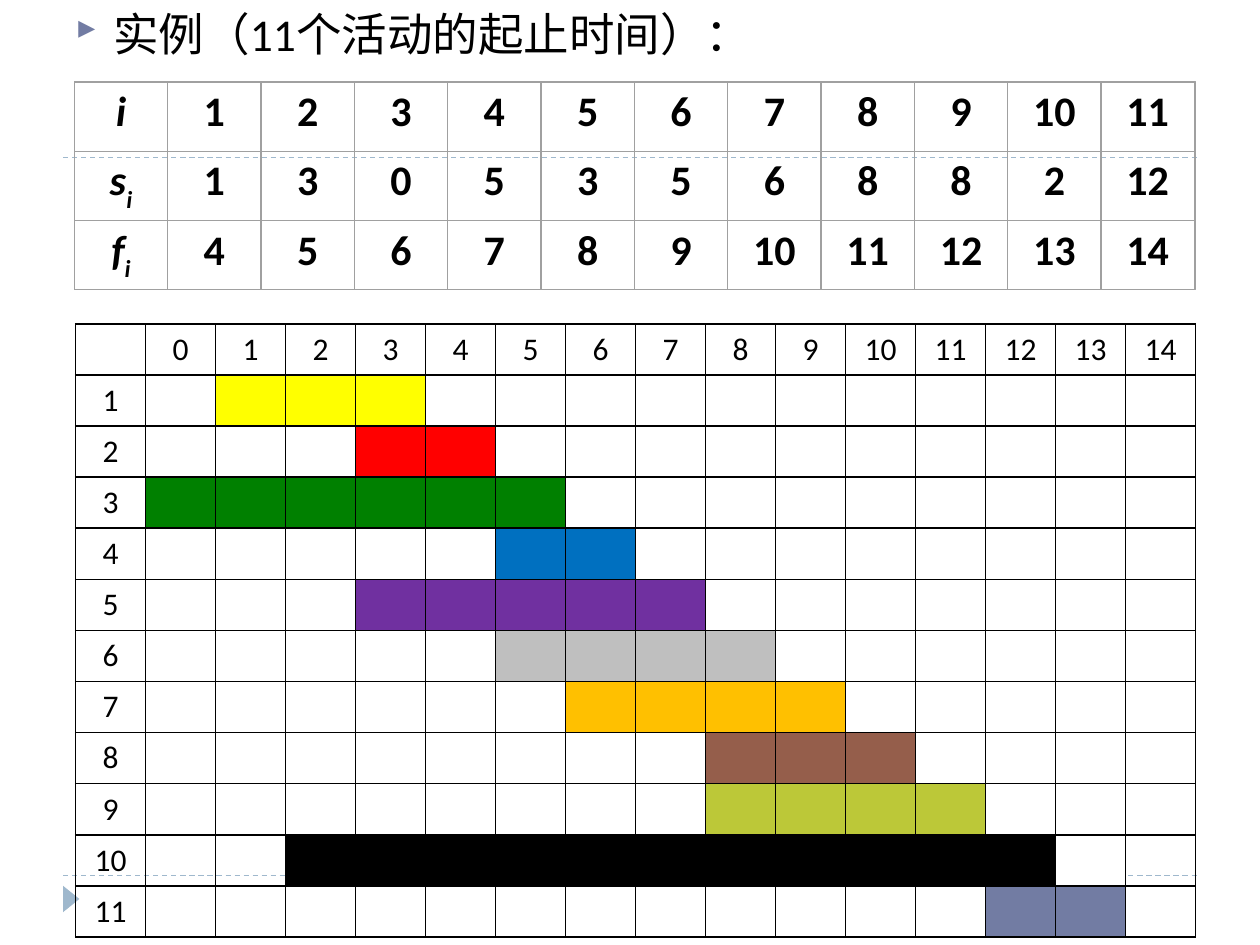
import dataclasses
import lxml.etree
import pptx
import pptx.dml.color
import pptx.enum.dml
import pptx.enum.lang
import pptx.enum.shapes
import pptx.enum.text
import pptx.oxml.ns
import pptx.util

COLS, ROWS = 200, 150  # slide grid
WIDE, HIGH = pptx.util.Inches(10), pptx.util.Inches(7.5)
PLAIN = "{2D5ABB26-0587-4C30-8999-92F81FD0307C}"  # table without style


@dataclasses.dataclass
class Theme:
    font: str = "Calibri"
    ink: str = "000000"
    white: str = "FFFFFF"
    accent: str = "727CA3"
    soft: str = "9FB8CD"
    rule: str = "A0A0A0"
    title: int = 26
    head: int = 24
    body: int = 18


THEME = Theme()

# start, finish, bar colour
TASKS = [
    (1, 4, "FFFF00"), (3, 5, "FF0000"), (0, 6, "008000"), (5, 7, "0070C0"),
    (3, 8, "7030A0"), (5, 9, "BFBFBF"), (6, 10, "FFC000"), (8, 11, "955E4B"),
    (8, 12, "BCC838"), (2, 13, "000000"), (12, 14, THEME.accent),
]


def place(x, y, w, h):
    """Turn grid columns and rows into slide lengths."""
    return (round(x * WIDE / COLS), round(y * HIGH / ROWS),
            round(w * WIDE / COLS), round(h * HIGH / ROWS))


def rgb(code):
    return pptx.dml.color.RGBColor.from_string(code)


def node(parent, tag, **attrs):
    item = lxml.etree.SubElement(parent, pptx.oxml.ns.qn(tag))
    for key, value in attrs.items():
        item.set(key, str(value))
    return item


def write(para, text, size, bold=False, slant=False, base=0):
    run = para.add_run()
    run.text = text
    font = run.font
    font.name, font.size = THEME.font, pptx.util.Pt(size)
    font.bold, font.italic = bold, slant
    font.color.rgb = rgb(THEME.ink)
    if base:
        font._element.set("baseline", str(base))
    return run


def edge(cell, color, width):
    props = cell._tc.get_or_add_tcPr()
    for spot, side in enumerate(("a:lnL", "a:lnR", "a:lnT", "a:lnB")):
        line = node(props, side, w=pptx.util.Pt(width))
        node(node(line, "a:solidFill"), "a:srgbClr", val=color)
        props.insert(spot, line)


def outline(shapes, box, width):
    """Unfilled ruled box."""
    frame = shapes.add_shape(
        pptx.enum.shapes.MSO_SHAPE.RECTANGLE, *place(*box))
    frame.shadow.inherit = False
    frame.fill.background()
    frame.line.color.rgb = rgb(THEME.rule)
    frame.line.width = pptx.util.Pt(width)


def tile(shapes, box, text, sub="", slant=False):
    """One ruled box with its label."""
    frame = shapes.add_textbox(*place(*box)).text_frame
    frame.word_wrap = True
    frame.vertical_anchor = pptx.enum.text.MSO_ANCHOR.TOP
    frame.margin_top, frame.margin_bottom = pptx.util.Inches(0.02), 0
    para = frame.paragraphs[0]
    para.alignment = pptx.enum.text.PP_ALIGN.CENTER
    write(para, text, THEME.head, True, slant)
    if sub:
        write(para, sub, THEME.head, True, slant, -30000)
    outline(shapes, box, 0)


def decor(slide, box):
    """Dashed rules and the corner marker."""
    x, y, w, h = box
    for top in (y + h, y):
        left, level, span, _ = place(x, top, w, 0)
        line = slide.shapes.add_connector(
            pptx.enum.shapes.MSO_CONNECTOR.STRAIGHT,
            left, level, left + span, level)
        line.line.color.rgb = rgb(THEME.soft)
        line.line.width = pptx.util.Pt(0.75)
        line.line.dash_style = pptx.enum.dml.MSO_LINE.DASH
        node(line._element.spPr, "a:effectLst")
    mark = slide.shapes.add_shape(
        pptx.enum.shapes.MSO_SHAPE.ISOSCELES_TRIANGLE,
        *place(x - 0.8, y + h + 2.4, 4.2, 2.6))
    mark.rotation = 90
    mark.shadow.inherit = False
    mark.fill.solid()
    mark.fill.fore_color.rgb = rgb(THEME.soft)
    mark.line.fill.background()


def title(slide, box, text):
    """Bulleted heading."""
    frame = slide.shapes.add_textbox(*place(*box)).text_frame
    frame.word_wrap = True
    para = frame.paragraphs[0]
    para.space_before = pptx.util.Pt(6)
    props = para._p.get_or_add_pPr()
    dent = pptx.util.Inches(0.3)
    props.set("marL", str(dent))
    props.set("indent", str(-dent))
    node(node(props, "a:buClr"), "a:srgbClr", val=THEME.accent)
    node(props, "a:buSzPct", val=76000)
    # In this symbol font the brace is a right-pointing triangle
    node(props, "a:buFont", typeface="Wingdings 3", charset=2)
    node(props, "a:buChar", char="}")
    run = write(para, text, THEME.title)
    run.font.language_id = pptx.enum.lang.MSO_LANGUAGE_ID.SIMPLIFIED_CHINESE


def times(slide, box):
    """Start and finish times of every task."""
    x, y, w, h = box
    wide, high = w / (len(TASKS) + 1), h / 3
    shapes = slide.shapes.add_group_shape().shapes
    heads = (("i", ""), ("s", "i"), ("f", "i"))
    lists = zip(*((num, start, end)
                  for num, (start, end, _) in enumerate(TASKS, 1)))
    for row, (head, values) in enumerate(zip(heads, lists)):
        top = y + row * high
        tile(shapes, (x, top, wide, high), *head, slant=True)
        for col, value in enumerate(values, 1):
            tile(shapes, (x + col * wide, top, wide, high), str(value))
    outline(shapes, (x, y, w + 0.2, h), 0.5)


def chart(slide, box):
    """Timeline with one bar of filled cells per task."""
    last = max(end for _, end, _ in TASKS)
    rows, cols = len(TASKS) + 1, last + 2
    x, y, w, h = place(*box)
    table = slide.shapes.add_table(rows, cols, x, y, w, h).table
    table.first_row = table.horz_banding = False
    table._tbl.tblPr.find(pptx.oxml.ns.qn("a:tableStyleId")).text = PLAIN
    for col in table.columns:
        col.width = round(w / cols)
    for row in table.rows:
        row.height = round(h / rows)
    for cell in table.iter_cells():
        cell.fill.background()
        cell.vertical_anchor = pptx.enum.text.MSO_ANCHOR.MIDDLE
        para = cell.text_frame.paragraphs[0]
        para.alignment = pptx.enum.text.PP_ALIGN.CENTER
        edge(cell, THEME.ink, 1)
    for hour in range(last + 1):
        para = table.cell(0, hour + 1).text_frame.paragraphs[0]
        write(para, str(hour), THEME.body)
    for num, (start, end, color) in enumerate(TASKS, 1):
        para = table.cell(num, 0).text_frame.paragraphs[0]
        write(para, str(num), THEME.body)
        for hour in range(start, end + 1):
            fill = table.cell(num, hour + 1).fill
            fill.solid()
            fill.fore_color.rgb = rgb(color if hour < end else THEME.white)


def main():
    deck = pptx.Presentation()
    deck.slide_width, deck.slide_height = WIDE, HIGH
    slide = deck.slides.add_slide(deck.slide_layouts[6])
    decor(slide, (10, 25, 180, 114))
    title(slide, (10, 0, 180, 12), "实例（11个活动的起止时间）：")
    times(slide, (11.8, 13, 177.8, 33))
    chart(slide, (12, 51.4, 177.8, 97.4))
    deck.save("out.pptx")


main()
